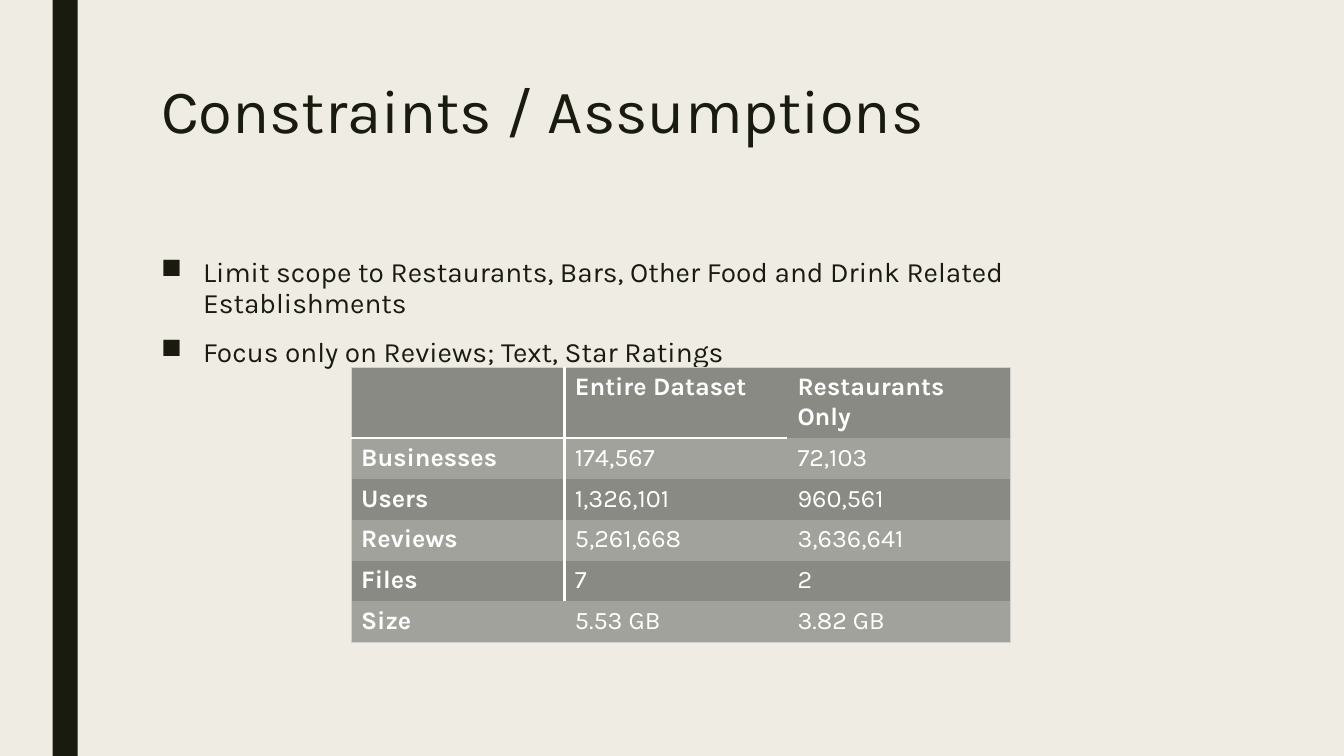
"""Build the Constraints / Assumptions slide with its dataset size table."""
from dataclasses import dataclass
from typing import Optional

from lxml.etree import SubElement
from pptx import Presentation
from pptx.dml.color import RGBColor as Rgb
from pptx.enum.shapes import MSO_SHAPE as Preset
from pptx.enum.text import MSO_ANCHOR as Anchor
from pptx.oxml.ns import qn
from pptx.util import Pt

COLORS = {
    "background": "EFEDE3",
    "ink": "191B0E",
    "dark_row": "898A83",
    "light_row": "A1A29B",
    "white": "FFFFFF",
    "outline": "D0D0CE",
}
FONT = "Karla"


@dataclass(frozen=True)
class TextBlock:
    lines: tuple[str, ...]
    top: float
    height: float
    size: float
    line_spacing: float
    bulleted: bool = False


@dataclass(frozen=True)
class Border:
    color: str
    width: float


BLOCKS = (
    TextBlock(("Constraints / Assumptions",), 54, 116.64, 44, 0.89),
    TextBlock(
        (
            "Limit scope to Restaurants, Bars, Other Food and Drink Related Establishments",
            "Focus only on Reviews; Text, Star Ratings",
        ),
        180, 282.24, 20, 0.94, bulleted=True,
    ),
)
DATASET_ROWS = (
    ("", "Entire Dataset", "Restaurants Only"),
    ("Businesses", "174,567", "72,103"),
    ("Users", "1,326,101", "960,561"),
    ("Reviews", "5,261,668", "3,636,641"),
    ("Files", "7", "2"),
    ("Size", "5.53 GB", "3.82 GB"),
)
COLUMN_WIDTHS = (152.6, 159.1, 159.1)
ROW_HEIGHT = 29.2
LAST_ROW = len(DATASET_ROWS) - 1
LAST_COLUMN = len(COLUMN_WIDTHS) - 1
OUTLINE = Border("outline", 0.5)
LABEL_RULE = Border("white", 2.75)
HEADER_RULE = Border("white", 1.5)


def rgb(name: str) -> Rgb:
    """Return the named colour."""
    return Rgb.from_string(COLORS[name])


def style_runs(paragraph, size: float, color: str, bold: bool = False) -> None:
    """Format every run of a paragraph."""
    for run in paragraph.runs:
        run.font.name = FONT
        run.font.size = Pt(size)
        run.font.bold = bold
        run.font.color.rgb = rgb(color)


def add_bullet(paragraph) -> None:
    """Give a paragraph a square bullet with a hanging indent."""
    paragraph.space_before = Pt(10)
    paragraph.space_after = Pt(2)
    properties = paragraph._p.get_or_add_pPr()
    properties.set("marL", str(Pt(30)))
    properties.set("indent", str(Pt(-30)))
    SubElement(properties, qn("a:buChar"), char="■")


def add_text_block(slide, block: TextBlock) -> None:
    """Draw a block of text on the slide's left margin."""
    box = slide.shapes.add_textbox(Pt(108), Pt(block.top), Pt(756), Pt(block.height))
    frame = box.text_frame
    frame.word_wrap = True
    frame.vertical_anchor = Anchor.TOP
    frame.text = "\n".join(block.lines)
    for paragraph in frame.paragraphs:
        paragraph.line_spacing = block.line_spacing
        if block.bulleted:
            add_bullet(paragraph)
        style_runs(paragraph, block.size, "ink")


def vertical_border(row: int, boundary: int) -> Optional[Border]:
    """Return the border on a column boundary."""
    if boundary in (0, LAST_COLUMN + 1):
        return OUTLINE
    return LABEL_RULE if boundary == 1 and row < LAST_ROW else None


def horizontal_border(boundary: int, column: int) -> Optional[Border]:
    """Return the border on a row boundary."""
    if boundary in (0, LAST_ROW + 1):
        return OUTLINE
    return HEADER_RULE if boundary == 1 and column < LAST_COLUMN else None


def set_borders(cell, row: int, column: int) -> None:
    """Set the four borders of a cell ahead of its fill."""
    properties = cell._tc.get_or_add_tcPr()
    edges = {
        "a:lnL": vertical_border(row, column),
        "a:lnR": vertical_border(row, column + 1),
        "a:lnT": horizontal_border(row, column),
        "a:lnB": horizontal_border(row + 1, column),
    }
    for tag, border in edges.items():
        line = SubElement(properties, qn(tag))
        if border is None:
            line.set("w", "0")
            SubElement(line, qn("a:noFill"))
        else:
            line.set("w", str(Pt(border.width)))
            fill = SubElement(line, qn("a:solidFill"))
            SubElement(fill, qn("a:srgbClr"), val=COLORS[border.color])


def add_dataset_table(slide) -> None:
    """Draw the table that compares the two datasets."""
    table = slide.shapes.add_table(
        len(DATASET_ROWS), len(COLUMN_WIDTHS), Pt(250.8), Pt(262.4),
        Pt(sum(COLUMN_WIDTHS)), Pt(ROW_HEIGHT * len(DATASET_ROWS)),
    ).table
    table.horz_banding = False
    for column, width in zip(table.columns, COLUMN_WIDTHS):
        column.width = Pt(width)
    for row, values in enumerate(DATASET_ROWS):
        table.rows[row].height = Pt(ROW_HEIGHT)
        for column, value in enumerate(values):
            cell = table.cell(row, column)
            set_borders(cell, row, column)
            cell.fill.solid()
            cell.fill.fore_color.rgb = rgb("light_row" if row % 2 else "dark_row")
            cell.text_frame.text = value
            is_label = row == 0 or column == 0
            style_runs(cell.text_frame.paragraphs[0], 18, "white", is_label)


def main() -> None:
    """Build and save the slide."""
    deck = Presentation()
    deck.slide_width, deck.slide_height = Pt(960), Pt(540)
    slide = deck.slides.add_slide(deck.slide_layouts[6])
    slide.background.fill.solid()
    slide.background.fill.fore_color.rgb = rgb("background")

    side_bar = slide.shapes.add_shape(Preset.RECTANGLE, Pt(37.5), Pt(0), Pt(18), Pt(540))
    side_bar.shadow.inherit = False
    side_bar.fill.solid()
    side_bar.fill.fore_color.rgb = rgb("ink")
    side_bar.line.fill.background()

    for block in BLOCKS:
        add_text_block(slide, block)
    add_dataset_table(slide)
    deck.save("out.pptx")


if __name__ == "__main__":
    main()
